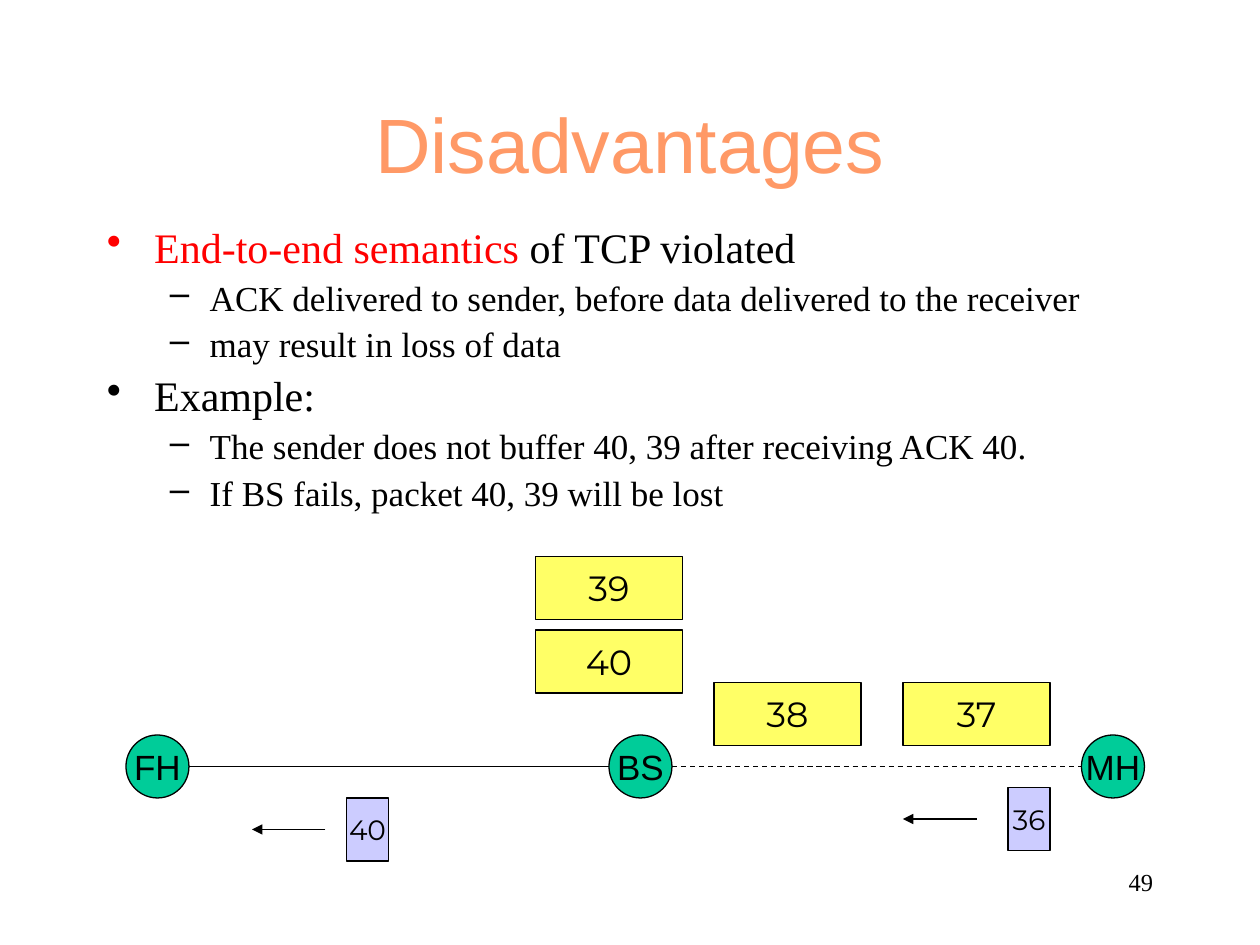
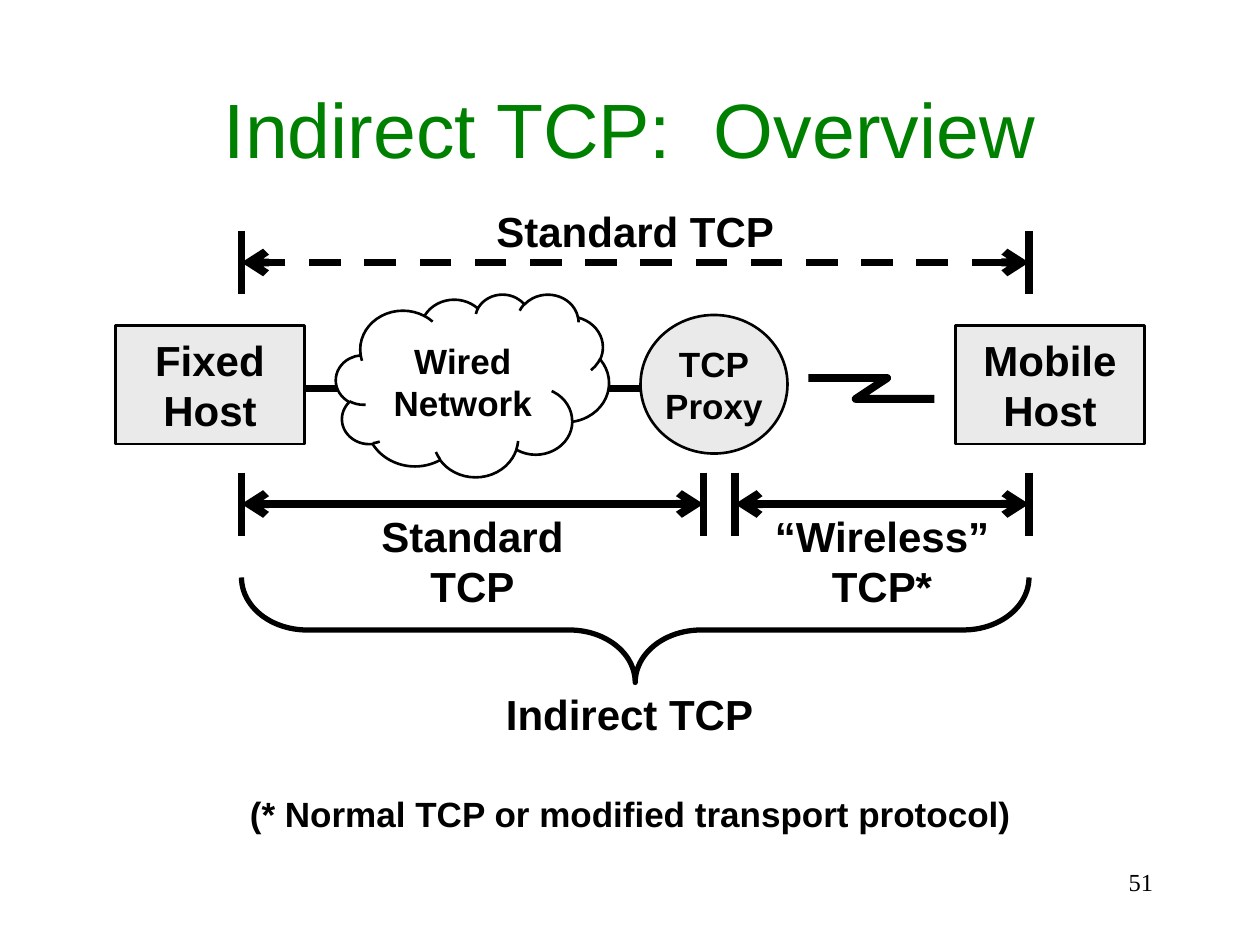
import dataclasses

import pptx
import pptx.dml.color
import pptx.enum.dml
import pptx.enum.shapes
import pptx.enum.text
import pptx.oxml.ns
import pptx.util
from lxml import etree

SHAPE = pptx.enum.shapes.MSO_SHAPE
ALIGN = pptx.enum.text.PP_ALIGN
ANCHOR = pptx.enum.text.MSO_ANCHOR
EMU_PER_PX = 7620


@dataclasses.dataclass(frozen=True)
class Theme:
    black: str = "000000"
    white: str = "FFFFFF"
    red: str = "FF0000"
    orange: str = "FF9966"
    green: str = "008000"
    node: str = "00CC99"
    packet: str = "FFFF66"
    ack: str = "CCCCFF"
    host: str = "EAEAEA"
    sans: str = "Arial"
    serif: str = "Times New Roman"
    digits: str = "Montserrat"
    title_size: int = 44
    large: int = 24
    medium: int = 20
    small: int = 16
    number_size: int = 14
    thin: float = 0.75
    outline: float = 1.5
    brace: float = 3
    heavy: float = 4.5


@dataclasses.dataclass(frozen=True)
class Box:
    x: int
    y: int
    w: int
    h: int

    def inner(self, x, y, w, h):
        return Box(self.x + x, self.y + y, w, h)

    def emu(self):
        return [px(value) for value in (self.x, self.y, self.w, self.h)]


THEME = Theme()


def px(value):
    return pptx.util.Emu(value * EMU_PER_PX)


def rgb(color):
    return pptx.dml.color.RGBColor.from_string(color)


def style_span(span, size, font, color, bold=False):
    span.font.size = pptx.util.Pt(size)
    span.font.name = font
    span.font.color.rgb = rgb(color)
    span.font.bold = bold


def style_line(line, width, dashed=False):
    line.color.rgb = rgb(THEME.black)
    line.width = pptx.util.Pt(width)
    if dashed:
        line.dash_style = pptx.enum.dml.MSO_LINE.DASH


def write(shape, text, size, font=THEME.sans, color=THEME.black, bold=False,
          align=ALIGN.CENTER, anchor=ANCHOR.TOP, wrap=True):
    frame = shape.text_frame
    frame.word_wrap = wrap
    frame.vertical_anchor = anchor
    para = frame.paragraphs[0]
    para.text = text
    para.alignment = align
    for span in para.runs:
        style_span(span, size, font, color, bold)


def add_text(page, box, text, size, **style):
    shape = page.shapes.add_textbox(*box.emu())
    write(shape, text, size, **style)
    return shape


def add_label(page, box, text, size=THEME.large, **style):
    shape = add_text(page, box, text, size, bold=True, **style)
    shape.text_frame.auto_size = pptx.enum.text.MSO_AUTO_SIZE.SHAPE_TO_FIT_TEXT


def add_block(page, box, kind, fill, width, text, size, wrap=False, **style):
    shape = page.shapes.add_shape(kind, *box.emu())
    shape.shadow.inherit = False
    shape.fill.solid()
    shape.fill.fore_color.rgb = rgb(fill)
    style_line(shape.line, width)
    write(shape, text, size, anchor=ANCHOR.MIDDLE, wrap=wrap, **style)


def add_line(page, x1, y1, x2, y2, width, dashed=False, head=None, tail=None):
    line = page.shapes.add_connector(
        pptx.enum.shapes.MSO_CONNECTOR.STRAIGHT, px(x1), px(y1), px(x2), px(y2))
    style_line(line.line, width, dashed)
    properties = line._element.spPr
    outline = properties.find(pptx.oxml.ns.qn("a:ln"))
    for tag, arrow in (("a:headEnd", head), ("a:tailEnd", tail)):
        if arrow:
            etree.SubElement(outline, pptx.oxml.ns.qn(tag), type=arrow)
    etree.SubElement(properties, pptx.oxml.ns.qn("a:effectLst"))


def add_page(deck, title, title_box, color, number):
    page = deck.slides.add_slide(deck.slide_layouts[6])
    add_text(page, Box(860, 820, 250, 60), number, THEME.number_size,
             font=THEME.serif, align=ALIGN.RIGHT)
    add_text(page, title_box, title, THEME.title_size, color=color,
             anchor=ANCHOR.MIDDLE)
    return page


def set_bullet(para, level, color):
    mark, margin, hang = (("•", 45, 45), ("–", 98, 38))[level]
    para.level = level
    properties = para._p.get_or_add_pPr()
    properties.set("marL", str(px(margin)))
    properties.set("indent", str(-px(hang)))
    bullet_color = etree.SubElement(properties, pptx.oxml.ns.qn("a:buClr"))
    etree.SubElement(bullet_color, pptx.oxml.ns.qn("a:srgbClr"), val=color)
    etree.SubElement(properties, pptx.oxml.ns.qn("a:buChar"), char=mark)


def add_bullets(page, box, items):
    frame = page.shapes.add_textbox(*box.emu()).text_frame
    frame.word_wrap = True
    for index, (level, spans) in enumerate(items):
        para = frame.add_paragraph() if index else frame.paragraphs[0]
        set_bullet(para, level, spans[0][1])
        para.line_spacing = 0.9
        if index:
            para.space_before = pptx.util.Pt((6, 5)[level])
        for text, color in spans:
            span = para.add_run()
            span.text = text
            style_span(span, (THEME.large, THEME.medium)[level], THEME.serif, color)


def add_packet_path(page, box):
    node = 60
    fixed, base, mobile = 0, 460, 910
    for name, x in (("FH", fixed), ("MH", mobile), ("BS", base)):
        add_block(page, box.inner(x, 170, node, node), SHAPE.OVAL, THEME.node,
                  THEME.thin, name, THEME.medium)
    for start, end, dashed in ((fixed, base, False), (base, mobile, True)):
        y = box.y + 200
        add_line(page, box.x + start + node, y, box.x + end, y, THEME.thin, dashed)
    for text, x, y in (("40", 390, 70), ("39", 390, 0), ("37", 740, 120), ("38", 560, 120)):
        add_block(page, box.inner(x, y, 140, 60), SHAPE.RECTANGLE, THEME.packet,
                  THEME.thin, text, THEME.medium, font=THEME.digits)
    for text, x, y, gap in (("36", 840, 220, 30), ("40", 210, 230, 20)):
        ack = box.inner(x, y, 40, 60)
        add_block(page, ack, SHAPE.RECTANGLE, THEME.ack, THEME.thin, text,
                  THEME.small, font=THEME.digits)
        start, middle = ack.x - gap, ack.y + ack.h // 2
        add_line(page, start, middle, start - 70, middle, THEME.thin, tail="triangle")


def add_network(page, box):
    add_line(page, box.x + 90, box.y + 90, box.x + 610, box.y + 90, THEME.heavy)
    parts = (
        ("Wired\nNetwork", SHAPE.CLOUD, (210, 0, 260, 174), THEME.white, THEME.medium),
        ("Fixed\nHost", SHAPE.RECTANGLE, (0, 30, 180, 113), THEME.host, THEME.large),
        ("Mobile\nHost", SHAPE.RECTANGLE, (800, 30, 180, 113), THEME.host, THEME.large),
        ("TCP\nProxy", SHAPE.OVAL, (500, 20, 140, 132), THEME.host, THEME.medium),
    )
    for text, kind, place, fill, size in parts:
        add_block(page, box.inner(*place), kind, fill, THEME.outline, text, size,
                  wrap=kind == SHAPE.CLOUD, bold=True)
    add_radio_link(page, box.inner(660, 80, 120, 20))


def add_radio_link(page, box):
    corners = ((75, 0), (45, box.h), (box.w, box.h))
    builder = page.shapes.build_freeform(px(box.x), px(box.y))
    builder.add_line_segments(
        [(px(box.x + x), px(box.y + y)) for x, y in corners], close=False)
    link = builder.convert_to_shape()
    link.shadow.inherit = False
    link.fill.background()
    style_line(link.line, THEME.heavy)


def add_span(page, box, dashed=False):
    right, middle = box.x + box.w, box.y + box.h // 2
    for x in (box.x, right):
        add_line(page, x, box.y, x, box.y + box.h, THEME.heavy)
    add_line(page, right, middle, box.x, middle, THEME.heavy, dashed, "arrow", "arrow")


def add_brace(page, box):
    turned = box.inner((box.w - box.h) // 2, (box.h - box.w) // 2, box.h, box.w)
    brace = page.shapes.add_shape(SHAPE.LEFT_BRACE, *turned.emu())
    brace.rotation = 270
    brace.adjustments[0] = 0.625
    brace.adjustments[1] = 0.5
    brace.shadow.inherit = False
    brace.fill.background()
    style_line(brace.line, THEME.brace)


def build_disadvantages(deck):
    page = add_page(deck, "Disadvantages", Box(90, 80, 1020, 112), THEME.orange, "49")
    black = THEME.black
    add_bullets(page, Box(90, 210, 1020, 313), (
        (0, (("End-to-end semantics ", THEME.red), ("of TCP violated", black))),
        (1, (("ACK delivered to sender, before data delivered to the receiver", black),)),
        (1, (("may result in loss of data", black),)),
        (0, (("Example:", black),)),
        (1, (("The sender does not buffer 40, 39 after receiving ACK 40.", black),)),
        (1, (("If BS fails, packet 40, 39 will be lost", black),)),
    ))
    add_packet_path(page, Box(120, 530, 970, 290))


def build_overview(deck):
    page = add_page(deck, "Indirect TCP:  Overview", Box(90, 47, 1020, 150),
                    THEME.green, "51")
    add_network(page, Box(110, 280, 980, 174))
    add_span(page, Box(230, 220, 750, 60), dashed=True)
    add_label(page, Box(230, 190, 750, 59), "Standard TCP")
    add_span(page, Box(230, 450, 440, 60))
    add_label(page, Box(230, 480, 440, 107), "Standard\nTCP")
    add_span(page, Box(700, 450, 280, 60))
    add_label(page, Box(710, 480, 260, 107), "“Wireless” TCP*")
    add_brace(page, Box(230, 550, 750, 100))
    add_label(page, Box(470, 650, 260, 59), "Indirect TCP", align=ALIGN.LEFT)
    add_label(page, Box(226, 749, 749, 52),
              "(* Normal TCP or modified transport protocol)", THEME.medium, wrap=False)


def main():
    deck = pptx.Presentation()
    deck.slide_width = px(1200)
    deck.slide_height = px(900)
    build_disadvantages(deck)
    build_overview(deck)
    deck.save("out.pptx")


if __name__ == "__main__":
    main()
